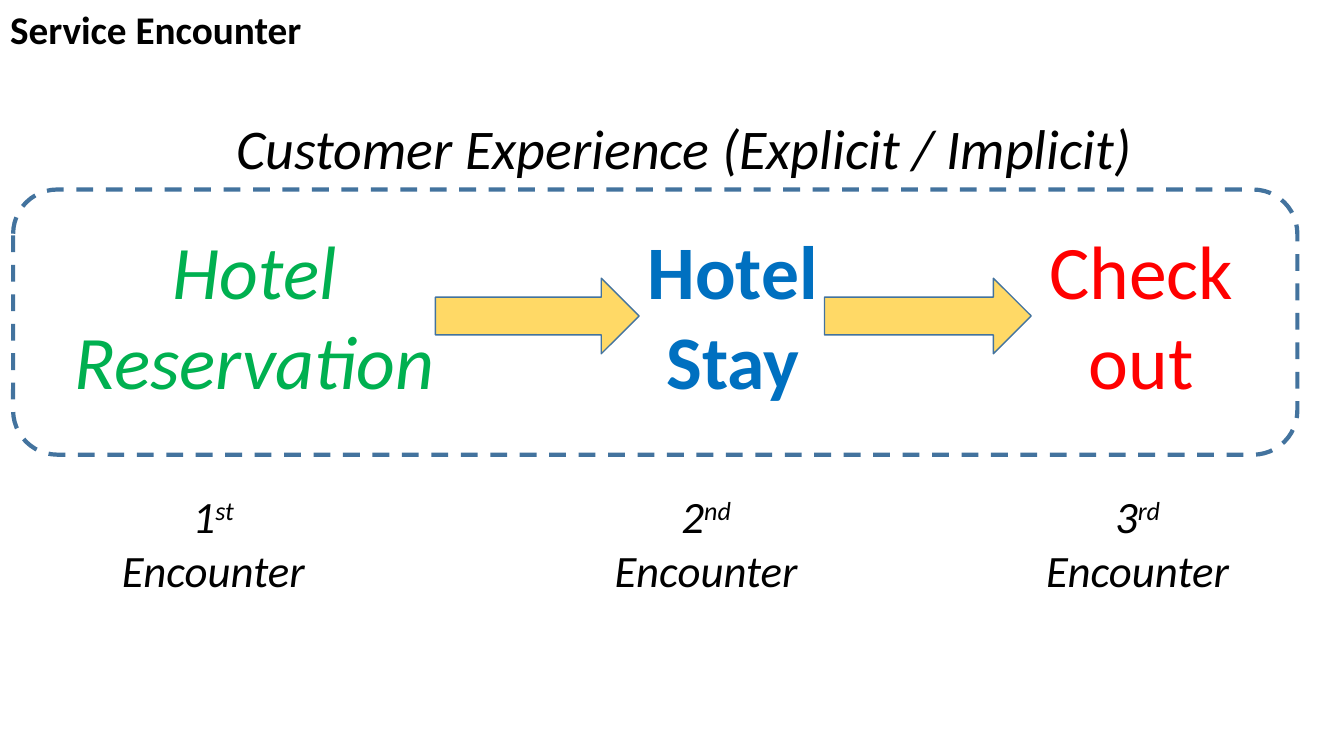
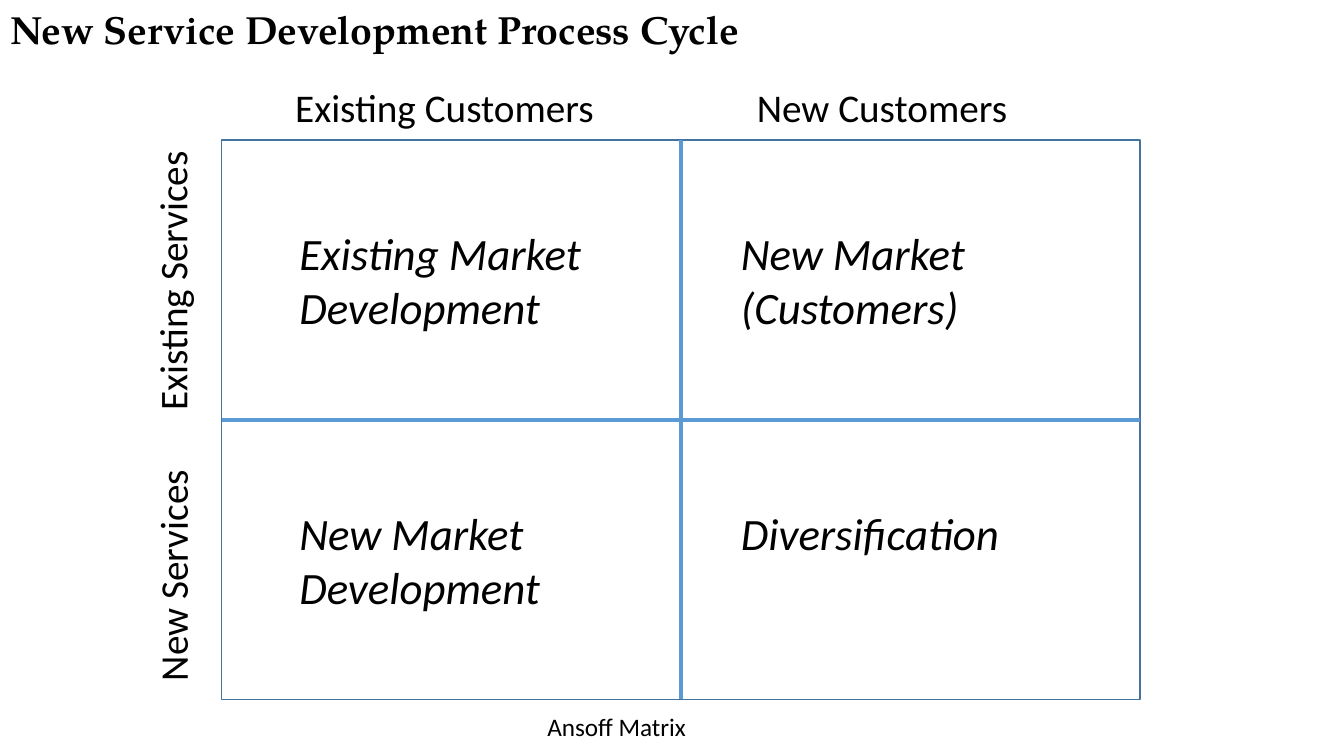
"""Build two slides on service encounters and the Ansoff matrix."""
from dataclasses import dataclass
from typing import Optional

from lxml.etree import SubElement
from pptx import Presentation
from pptx.dml.color import RGBColor
from pptx.enum.dml import MSO_LINE
from pptx.enum.shapes import MSO_CONNECTOR, MSO_SHAPE
from pptx.enum.text import MSO_ANCHOR, MSO_AUTO_SIZE, PP_ALIGN
from pptx.oxml.ns import qn
from pptx.util import Inches, Pt

SLIDE_WIDTH, SLIDE_HEIGHT = Inches(13.33), Inches(7.5)
TITLE_ONLY = 5
BLACK, GREEN, BLUE, RED = "000000", "00B050", "0070C0", "FF0000"
GOLD, OUTLINE, DIVIDER = "FFD966", "43739E", "5B9BD5"
BODY_FONT, SERIF_FONT = "Calibri", "TeX Gyre Pagella"


@dataclass(frozen=True)
class Area:
    """A rectangle in percent of the slide's width and height."""
    left: float
    top: float
    width: float
    height: float

    def lengths(self) -> tuple[int, int, int, int]:
        """Return left, top, width and height as slide lengths."""
        return (
            int(SLIDE_WIDTH * self.left / 100),
            int(SLIDE_HEIGHT * self.top / 100),
            int(SLIDE_WIDTH * self.width / 100),
            int(SLIDE_HEIGHT * self.height / 100),
        )


@dataclass(frozen=True)
class Style:
    """The look of a text."""
    size: int
    color: str = BLACK
    bold: bool = False
    italic: bool = False
    font: str = BODY_FONT
    align: PP_ALIGN = PP_ALIGN.LEFT


@dataclass(frozen=True)
class Stage:
    """One step of the hotel visit."""
    text: str
    left: float
    width: float
    style: Style


@dataclass(frozen=True)
class Encounter:
    """A numbered encounter below a stage."""
    number: str
    suffix: str
    left: float


@dataclass(frozen=True)
class Quadrant:
    """One strategy of the matrix."""
    text: str
    column: int
    row: int
    height: float = 15.73


LABEL = Style(28)
STRATEGY = Style(32, italic=True)
ENCOUNTER = Style(32, italic=True, align=PP_ALIGN.CENTER)

STAGES = (
    Stage("Hotel Reservation", 2.48, 32.93, Style(54, GREEN, italic=True, align=PP_ALIGN.CENTER)),
    Stage("Hotel Stay", 44.55, 19.95, Style(54, BLUE, bold=True, align=PP_ALIGN.CENTER)),
    Stage("Check out", 74.93, 19.95, Style(54, RED, align=PP_ALIGN.CENTER)),
)
ARROWS = (Area(32.4, 36.8, 15.15, 10), Area(61.35, 36.8, 15.38, 10))
ENCOUNTERS = (
    Encounter("1", "st", 7.88),
    Encounter("2", "nd", 44.55),
    Encounter("3", "rd", 76.65),
)
MATRIX = Area(16.5, 18.53, 68.33, 74)
CUSTOMERS = ("Existing Customers", "New Customers")
SERVICES = (
    ("Existing Services", Area(1.58, 31.87, 22.43, 7.6)),
    ("New Services", Area(3, 70.13, 19.65, 7.6)),
)
QUADRANTS = (
    Quadrant("Existing Market Development", 0, 0),
    Quadrant("New Market (Customers)", 1, 0),
    Quadrant("New Market Development", 0, 1),
    Quadrant("Diversification", 1, 1, 8.53),
)


def rgb(color: str) -> RGBColor:
    """Turn a hex string into a colour."""
    return RGBColor.from_string(color)


def format_text(frame, style: Style) -> None:
    """Apply a style to the frame and all its runs."""
    frame.word_wrap = True
    frame.auto_size = MSO_AUTO_SIZE.SHAPE_TO_FIT_TEXT
    frame.vertical_anchor = MSO_ANCHOR.TOP
    for para in frame.paragraphs:
        para.alignment = style.align
        for span in para.runs:
            span.font.name = style.font
            span.font.size = Pt(style.size)
            span.font.bold = style.bold
            span.font.italic = style.italic
            span.font.color.rgb = rgb(style.color)


def add_text(page, text: str, area: Area, style: Style, rotation: int = 0):
    """Add a text box and return it."""
    box = page.shapes.add_textbox(*area.lengths())
    box.rotation = rotation
    box.text_frame.text = text
    format_text(box.text_frame, style)
    return box


def add_encounter(page, encounter: Encounter) -> None:
    """Add an ordinal with a raised suffix."""
    box = add_text(page, encounter.number, Area(encounter.left, 64, 15.98, 15.73), ENCOUNTER)
    para = box.text_frame.paragraphs[0]
    suffix = para.add_run()
    suffix.text = encounter.suffix
    para.add_run().text = " Encounter"
    format_text(box.text_frame, ENCOUNTER)
    suffix.font._element.set("baseline", "30000")


def add_outlined(page, kind: MSO_SHAPE, area: Area, fill: Optional[str] = None, weight: float = 1):
    """Add a preset shape with the shared outline and return it."""
    shape = page.shapes.add_shape(kind, *area.lengths())
    shape.shadow.inherit = False
    if fill:
        shape.fill.solid()
        shape.fill.fore_color.rgb = rgb(fill)
    else:
        shape.fill.background()
    shape.line.color.rgb = rgb(OUTLINE)
    shape.line.width = Pt(weight)
    return shape


def add_divider(page, shape, start: int, end: int) -> None:
    """Join the middles of two sides of a rectangle."""
    divider = page.shapes.add_connector(MSO_CONNECTOR.STRAIGHT, 0, 0, 0, 0)
    divider.begin_connect(shape, start)
    divider.end_connect(shape, end)
    divider.line.color.rgb = rgb(DIVIDER)
    divider.line.width = Pt(3)
    SubElement(divider._element.spPr, qn("a:effectLst"))


def add_page(deck, title: str, font: str = BODY_FONT):
    """Add a title-only slide and return it."""
    page = deck.slides.add_slide(deck.slide_layouts[TITLE_ONLY])
    box = page.shapes.title
    box.left, box.top, box.width, box.height = Area(0, 0, 84.83, 7.6).lengths()
    box.text_frame.text = title
    format_text(box.text_frame, Style(28, bold=True, font=font))
    return page


def build_encounter_page(deck) -> None:
    """Draw the three encounters of a hotel visit."""
    page = add_page(deck, "Service Encounter")
    for stage in STAGES:
        add_text(page, stage.text, Area(stage.left, 28.93, stage.width, 25.6), stage.style)
    for area in ARROWS:
        add_outlined(page, MSO_SHAPE.RIGHT_ARROW, area, GOLD)
    frame = add_outlined(page, MSO_SHAPE.ROUNDED_RECTANGLE, Area(0.98, 25.07, 95.55, 35.07), weight=3)
    frame.line.dash_style = MSO_LINE.DASH
    add_text(page, "Customer Experience (Explicit / Implicit)",
             Area(16.88, 14.4, 73.88, 10.27), Style(40, italic=True))
    for encounter in ENCOUNTERS:
        add_encounter(page, encounter)


def build_matrix_page(deck) -> None:
    """Draw the matrix of services and customers."""
    page = add_page(deck, "New Service Development Process Cycle", SERIF_FONT)
    matrix = add_outlined(page, MSO_SHAPE.RECTANGLE, MATRIX)
    add_text(page, "Ansoff Matrix", Area(39.98, 93.47, 16.43, 5.33), Style(18))
    for start, end in ((0, 2), (1, 3)):
        add_divider(page, matrix, start, end)
    for column, text in enumerate(CUSTOMERS):
        left = MATRIX.left + 4.73 + column * 34.35
        add_text(page, text, Area(left, 10.4, 27, 7.6), LABEL)
    for text, area in SERVICES:
        add_text(page, text, area, LABEL, rotation=270)
    for quadrant in QUADRANTS:
        left = MATRIX.left + 5.03 + quadrant.column * 32.85
        top = MATRIX.top + 10.67 + quadrant.row * MATRIX.height / 2
        add_text(page, quadrant.text, Area(left, top, 24.16, quadrant.height), STRATEGY)


def main() -> None:
    """Build and save the deck."""
    deck = Presentation()
    deck.slide_width, deck.slide_height = SLIDE_WIDTH, SLIDE_HEIGHT
    build_encounter_page(deck)
    build_matrix_page(deck)
    deck.save("out.pptx")


if __name__ == "__main__":
    main()
